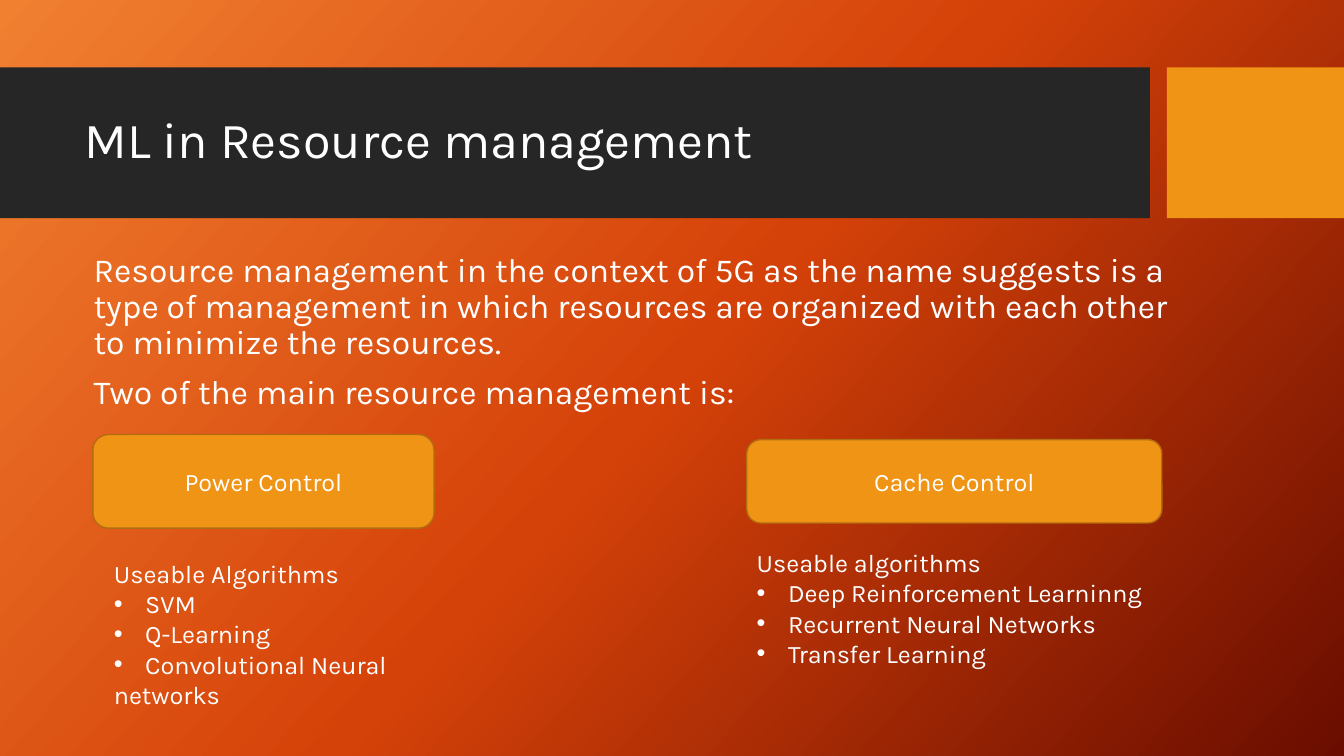
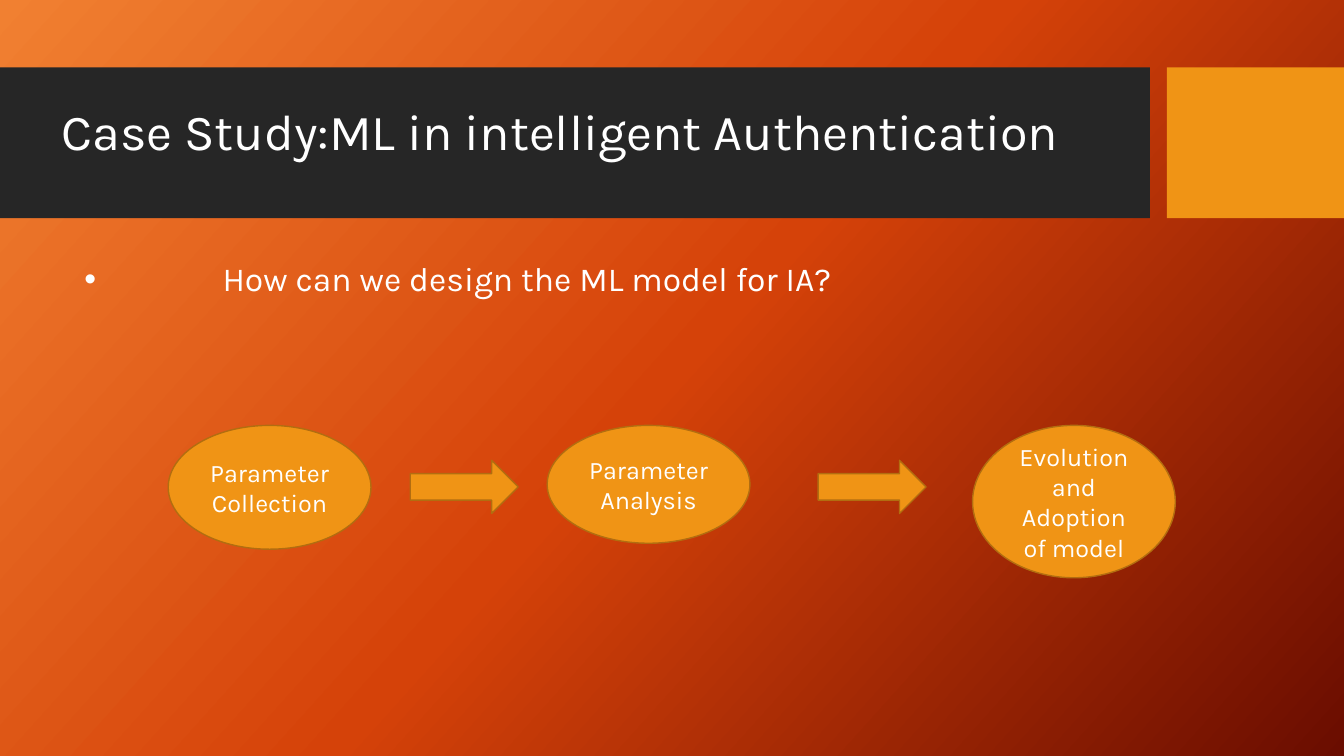
from copy import deepcopy
from dataclasses import dataclass

from lxml.etree import SubElement
from pptx import Presentation
from pptx.dml.color import RGBColor
from pptx.enum.shapes import MSO_SHAPE
from pptx.enum.text import MSO_ANCHOR, MSO_AUTO_SIZE, PP_ALIGN
from pptx.oxml.ns import qn
from pptx.util import Cm, Pt

# Shared look
FONT = "Karla"
WHITE = RGBColor(0xFF, 0xFF, 0xFF)
CHARCOAL = RGBColor(0x26, 0x26, 0x26)
AMBER = RGBColor(0xF0, 0x94, 0x15)
BRONZE = RGBColor(0xB2, 0x6D, 0x10)
BACKDROP = (RGBColor(0xF1, 0x80, 0x31), RGBColor(0xD5, 0x42, 0x09), RGBColor(0x6A, 0x0D, 0x00))
BACKDROP_ANGLE = 42
TITLE_SIZE, BODY_SIZE, LABEL_SIZE = 36, 24, 18
LIST_INDENT = 0.79


@dataclass(frozen=True)
class Box:
    """Position and size in centimetres."""
    left: float
    top: float
    width: float
    height: float

    def lengths(self):
        return Cm(self.left), Cm(self.top), Cm(self.width), Cm(self.height)


@dataclass(frozen=True)
class Node:
    kind: MSO_SHAPE
    box: Box
    label: str = ""
    fill: RGBColor = AMBER
    outline: RGBColor | None = BRONZE


@dataclass(frozen=True)
class Line:
    text: str
    hanging: float = 0  # bullet indent in centimetres, 0 for no bullet


BANDS = (
    Node(MSO_SHAPE.RECTANGLE, Box(0, 1.7, 28.98, 3.8), fill=CHARCOAL, outline=None),
    Node(MSO_SHAPE.RECTANGLE, Box(29.41, 1.7, 4.46, 3.8), outline=None),
)


def style_text(frame, size: int) -> None:
    frame.word_wrap = True
    for paragraph in frame.paragraphs:
        for run in paragraph.runs:
            run.font.name = FONT
            run.font.size = Pt(size)
            run.font.color.rgb = WHITE


def draw_node(slide, node: Node):
    shape = slide.shapes.add_shape(node.kind, *node.box.lengths())
    shape.shadow.inherit = False
    shape.fill.solid()
    shape.fill.fore_color.rgb = node.fill
    if node.outline is None:
        shape.line.fill.background()
    else:
        shape.line.color.rgb = node.outline
        shape.line.width = Pt(1)
    if node.label:
        frame = shape.text_frame
        frame.text = node.label
        frame.vertical_anchor = MSO_ANCHOR.MIDDLE
        frame.paragraphs[0].alignment = PP_ALIGN.CENTER
        style_text(frame, LABEL_SIZE)
    return shape


def add_bullet(paragraph, hanging: float) -> None:
    properties = paragraph._p.get_or_add_pPr()
    properties.set("marL", str(Cm(hanging)))
    properties.set("indent", str(-Cm(hanging)))
    SubElement(properties, qn("a:buFont"), typeface="Arial")
    SubElement(properties, qn("a:buChar"), char="•")


def draw_text(slide, box: Box, lines: list[Line], size: int,
              spacing: float = 1.0, before: int = 0) -> None:
    frame = slide.shapes.add_textbox(*box.lengths()).text_frame
    frame.text = "\n".join(line.text for line in lines)
    for paragraph, line in zip(frame.paragraphs, lines):
        paragraph.line_spacing = spacing
        paragraph.space_before = Pt(before)
        if line.hanging:
            add_bullet(paragraph, line.hanging)
    style_text(frame, size)


def draw_body(slide, box: Box, lines: list[Line]) -> None:
    draw_text(slide, box, lines, BODY_SIZE, spacing=0.9, before=10)


def paint_backdrop(master) -> None:
    fill = master.background.fill
    fill.gradient()
    fill.gradient_angle = 360 - BACKDROP_ANGLE
    stop_list = next(master.element.iter(qn("a:gsLst")))
    stop_list.insert(1, deepcopy(stop_list[0]))
    for index, (stop, color) in enumerate(zip(fill.gradient_stops, BACKDROP)):
        stop.position = index / (len(BACKDROP) - 1)
        stop.color.rgb = color


def place_bands(slide) -> None:
    """Draw the title bands and hand them to the layout, behind its placeholders."""
    tree = slide.slide_layout.shapes.element
    for index, band in enumerate(BANDS):
        element = draw_node(slide, band).element
        element.nvSpPr.cNvPr.id = 20 + index
        tree.insert(2 + index, element)


def add_titled_slide(prs, title: str, left: float, top: float):
    slide = prs.slides.add_slide(prs.slide_layouts[5])
    heading = slide.shapes.title
    heading.left, heading.top, heading.width, heading.height = Box(left, top, 26.7, 3).lengths()
    frame = heading.text_frame
    frame.text = title
    frame.auto_size = MSO_AUTO_SIZE.NONE
    frame.vertical_anchor = MSO_ANCHOR.MIDDLE
    frame.paragraphs[0].alignment = PP_ALIGN.LEFT
    frame.paragraphs[0].line_spacing = 0.9
    style_text(frame, TITLE_SIZE)
    return slide


prs = Presentation()
prs.slide_width, prs.slide_height = Cm(33.87), Cm(19.05)
paint_backdrop(prs.slide_master)

# Slide 1: resource management
resources = add_titled_slide(prs, "ML in Resource management", 1.88, 2.08)
place_bands(resources)
draw_body(resources, Box(2.11, 6.25, 28.17, 4.5), [
    Line("Resource management in the context of 5G as the name suggests is a type of "
         "management in which resources are organized with each other to minimize the resources."),
    Line("Two of the main resource management is:"),
])
for control in (
    Node(MSO_SHAPE.ROUNDED_RECTANGLE, Box(2.34, 10.95, 8.6, 2.36), "Power Control"),
    Node(MSO_SHAPE.ROUNDED_RECTANGLE, Box(18.82, 11.08, 10.46, 2.1), "Cache Control"),
):
    draw_node(resources, control)
draw_text(resources, Box(2.62, 13.94, 9.25, 4.88), [
    Line("Useable Algorithms"),
    Line("SVM", LIST_INDENT),
    Line("Q-Learning", LIST_INDENT),
    Line("Convolutional Neural", LIST_INDENT),
    Line("networks"),
], LABEL_SIZE)
draw_text(resources, Box(18.82, 13.67, 10.74, 3.33), [
    Line("Useable algorithms"),
    Line("Deep Reinforcement Learninng", LIST_INDENT),
    Line("Recurrent Neural Networks", LIST_INDENT),
    Line("Transfer Learning", LIST_INDENT),
], LABEL_SIZE)

# Slide 2: case study
case_study = add_titled_slide(prs, "Case Study:ML in intelligent Authentication", 1.3, 1.88)
draw_body(case_study, Box(1.88, 6.5, 30.5, 1.5),
          [Line("How can we design the ML model for IA?", 3.48)])

STEP_TOP, STEP_WIDTH = 10.72, 5.11
for left, height, label in (
    (4.24, 3.12, "Parameter Collection"),
    (13.79, 2.97, "Parameter Analysis"),
    (24.51, 3.84, "Evolution and Adoption of model"),
):
    draw_node(case_study, Node(MSO_SHAPE.OVAL, Box(left, STEP_TOP, STEP_WIDTH, height), label))
for left in (10.34, 20.62):
    draw_node(case_study, Node(MSO_SHAPE.RIGHT_ARROW, Box(left, 11.6, 2.72, 1.34)))

prs.save("out.pptx")
